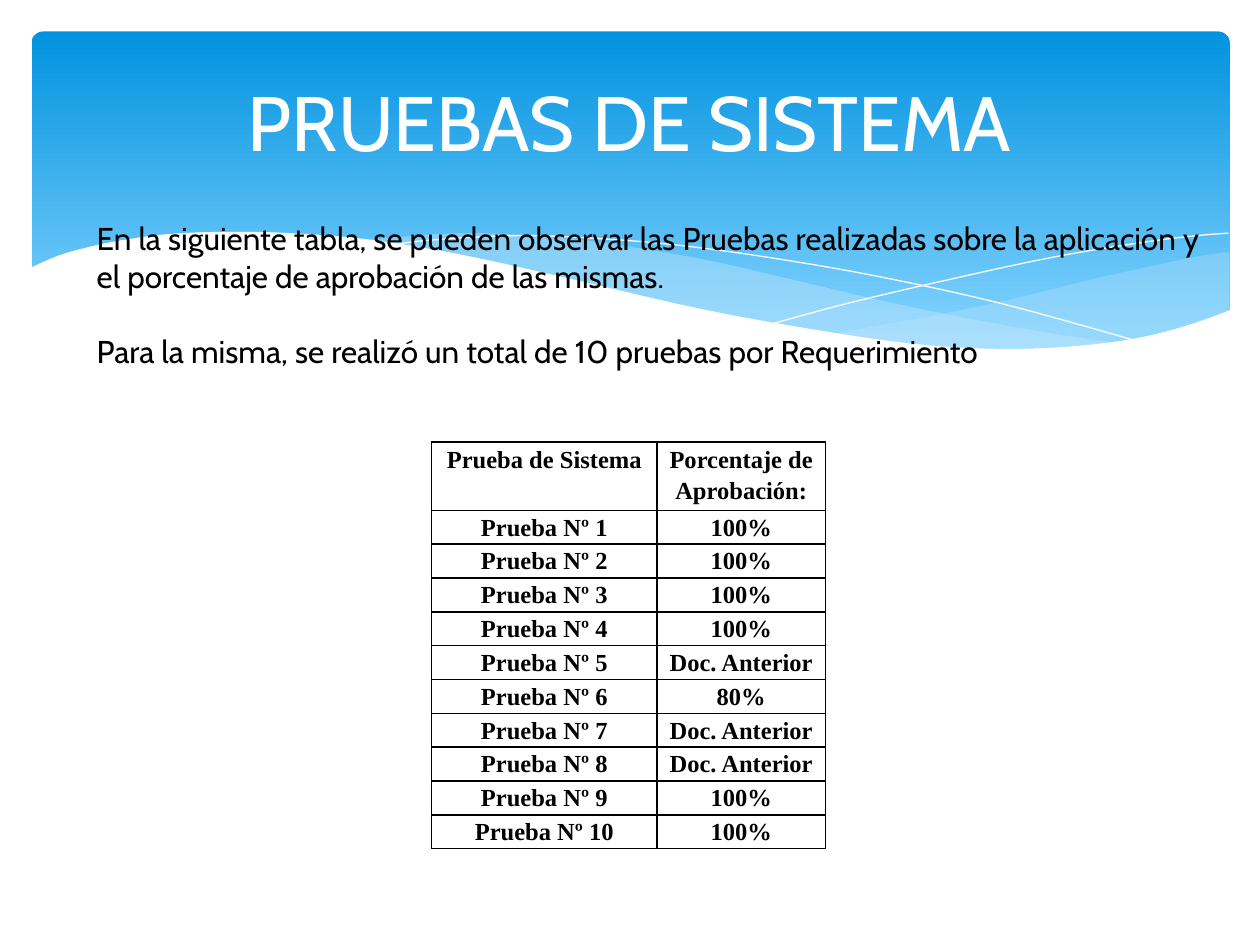
from dataclasses import dataclass
from typing import Optional

import pptx
import pptx.dml.color
import pptx.enum.shapes
import pptx.enum.text
import pptx.oxml
import pptx.oxml.ns
import pptx.util
from lxml import etree

Pt = pptx.util.Pt
qn = pptx.oxml.ns.qn
ALIGN = pptx.enum.text.PP_ALIGN
ANCHOR = pptx.enum.text.MSO_ANCHOR
Point = tuple[float, float]


@dataclass(frozen=True)
class Theme:
    sky_dark: str = "0293E0"
    sky_light: str = "83D3FE"
    mist: str = "C6E7FC"
    white: str = "FFFFFF"
    black: str = "000000"
    font: str = "Cabin"
    table_font: str = "Times New Roman"
    title_size: float = 44
    body_size: float = 18
    table_size: float = 14


@dataclass(frozen=True)
class Wave:
    """Edges run through key points; each edge is smoothed on its own."""
    edges: list[list[Point]]
    fill: Optional[str] = None
    alpha: int = 100
    line: Optional[str] = None


@dataclass(frozen=True)
class TextBox:
    left: float
    top: float
    width: float
    height: float
    paragraphs: list[str]
    size: float
    color: str
    align: ALIGN
    anchor: ANCHOR
    top_inset: float = 3.6
    gap: float = 0
    grows: bool = False


THEME = Theme()
WAVES = [
    Wave([[(702.5, 144), (682.5, 146.9), (652.3, 153.3), (619.9, 160.6), (579.6, 170.6),
           (542.2, 178.6), (508.3, 184.9), (475.9, 190.8)],
          [(475.9, 190.8), (507.6, 195.1), (536.4, 198), (570.2, 199.5), (601.2, 199.4),
           (627.8, 197.3), (651.6, 193.7), (673.2, 188.6), (693.4, 181.4), (702.5, 177.8)]],
         fill=THEME.mist, alpha=29),
    Wave([[(643, 196.6), (602.6, 190.8), (558, 182.9), (508.3, 172.8), (452.9, 159.8),
           (409.7, 149.8), (370.1, 142.6), (334.8, 137.5), (302.4, 134.6), (273.6, 133.2),
           (247.7, 133.9), (225.4, 135.7), (205.9, 137.5)],
          [(205.9, 137.5), (246.2, 143.3), (290.9, 151.9), (323.3, 159.8), (381.6, 172.8),
           (432.7, 183.6), (478.8, 191.5), (521.3, 197.3), (556.6, 199.4), (589, 200.2),
           (617, 199.4), (643, 196.6)]],
         fill=THEME.mist, alpha=40),
    Wave([[(222.5, 140.4), (236.2, 138.2), (261.4, 136.1), (299.5, 134.6), (337.7, 136.1),
           (383.8, 139.7), (437.8, 146.9), (500.4, 157.7), (572.4, 173.5), (653, 195.8)]],
         line=THEME.white),
    Wave([[(441.4, 185), (483.8, 173.5), (538.6, 160.6), (602, 146.9), (655.2, 138.2),
           (684.7, 134.6), (702, 133.2)]],
         line=THEME.white),
    Wave([[(703.4, 177.1), (676.8, 186.5), (647.3, 193.7), (612, 198), (571, 199.4),
           (522.7, 196.6), (466.6, 188.6), (399.6, 176.4), (321.8, 158.4), (262.8, 145.4),
           (210.2, 136.8), (165.6, 133.2), (127.4, 132.5), (95, 133.9), (68.4, 137.5),
           (48.2, 141.8), (33.1, 146.2), (16.6, 153.4)],
          [(16.6, 236.9), (703.4, 236.9)]],
         fill=THEME.white),
]
RESULTS = ["100%"] * 4 + ["Doc. Anterior", "80%", "Doc. Anterior", "Doc. Anterior", "100%", "100%"]


def rgb(color: str) -> pptx.dml.color.RGBColor:
    return pptx.dml.color.RGBColor.from_string(color)


def smooth(keys: list[Point], steps: int = 5) -> list[Point]:
    """Sample a Catmull-Rom curve through the key points."""
    if len(keys) < 3:
        return keys
    ext = [keys[0], *keys, keys[-1]]
    curve = [keys[0]]
    for a, b, c, d in zip(ext, ext[1:], ext[2:], ext[3:]):
        for t in (i / steps for i in range(1, steps + 1)):
            curve.append(tuple(
                0.5 * (2 * q + (u - p) * t + (2 * p - 5 * q + 4 * u - v) * t ** 2
                       + (3 * q - p - 3 * u + v) * t ** 3)
                for p, q, u, v in zip(a, b, c, d)))
    return curve


def add_sky(s) -> None:
    sp = s.shapes.add_shape(pptx.enum.shapes.MSO_SHAPE.ROUNDED_RECTANGLE,
                            Pt(18), Pt(18), Pt(684.7), Pt(194.4))
    sp.adjustments[0] = 0.034
    sp.shadow.inherit = False
    sp.line.fill.background()
    sp.fill.gradient()
    sp.fill.gradient_angle = 270
    stops = [(0, THEME.sky_dark), (0.9, THEME.sky_light)]
    for stop, (position, color) in zip(sp.fill.gradient_stops, stops):
        stop.position = position
        stop.color.rgb = rgb(color)


def add_wave(s, wave: Wave) -> None:
    start, *rest = [(Pt(x), Pt(y)) for edge in wave.edges for x, y in smooth(edge)]
    builder = s.shapes.build_freeform(*start)
    builder.add_line_segments(rest, close=wave.fill is not None)
    sp = builder.convert_to_shape()
    sp.shadow.inherit = False
    if wave.fill:
        sp.fill.solid()
        sp.fill.fore_color.rgb = rgb(wave.fill)
        if wave.alpha < 100:
            color = sp._element.spPr.find(".//" + qn("a:srgbClr"))
            etree.SubElement(color, qn("a:alpha"), val=str(wave.alpha * 1000))
    else:
        sp.fill.background()
    if wave.line:
        sp.line.color.rgb = rgb(wave.line)
        sp.line.width = Pt(0)
    else:
        sp.line.fill.background()


def add_run(p, text: str, font: str, size: float, color: str, bold: bool = False) -> None:
    r = p.add_run()
    r.text = text
    r.font.name, r.font.size, r.font.bold = font, Pt(size), bold
    r.font.color.rgb = rgb(color)


def add_text(s, box: TextBox) -> None:
    sp = s.shapes.add_textbox(Pt(box.left), Pt(box.top), Pt(box.width), Pt(box.height))
    tf = sp.text_frame
    tf.word_wrap = True
    tf.vertical_anchor = box.anchor
    tf.margin_top = Pt(box.top_inset)
    if box.grows:
        tf.auto_size = pptx.enum.text.MSO_AUTO_SIZE.SHAPE_TO_FIT_TEXT
    for i, text in enumerate(box.paragraphs):
        p = tf.add_paragraph() if i else tf.paragraphs[0]
        p.alignment = box.align
        p.space_before = Pt(box.gap if i else 0)
        add_run(p, text, THEME.font, box.size, box.color)


def add_borders(cell) -> None:
    tc_pr = cell._tc.get_or_add_tcPr()
    for i, side in enumerate(("lnL", "lnR", "lnT", "lnB")):
        line = etree.Element(qn("a:" + side), w=str(Pt(1)))
        fill = etree.SubElement(line, qn("a:solidFill"))
        etree.SubElement(fill, qn("a:srgbClr"), val=THEME.black)
        tc_pr.insert(i, line)


def add_results(s) -> None:
    rows = [("Prueba de Sistema", "Porcentaje de Aprobación:")]
    rows += [(f"Prueba Nº {n}", result) for n, result in enumerate(RESULTS, 1)]
    widths, header_height, row_height = (128.8, 96.2), 38.9, 19.3
    table = s.shapes.add_table(len(rows), len(widths), Pt(246.7), Pt(252.7), Pt(sum(widths)),
                               Pt(header_height + row_height * len(RESULTS))).table
    table.first_row = table.horz_banding = False
    for column, width in zip(table.columns, widths):
        column.width = Pt(width)
    for i, texts in enumerate(rows):
        table.rows[i].height = Pt(row_height if i else header_height)
        for cell, text in zip(table.rows[i].cells, texts):
            cell.fill.background()
            cell.margin_left = cell.margin_right = Pt(5)
            cell.margin_top = cell.margin_bottom = 0
            p = cell.text_frame.paragraphs[0]
            p.alignment, p.line_spacing = ALIGN.CENTER, 1.15
            add_run(p, text, THEME.table_font, THEME.table_size, THEME.black, bold=True)
            add_borders(cell)


def main() -> None:
    prs = pptx.Presentation()
    prs.slide_width, prs.slide_height = Pt(720), Pt(540)
    s = prs.slides.add_slide(prs.slide_layouts[6])
    add_sky(s)
    for wave in WAVES:
        add_wave(s, wave)
    add_text(s, TextBox(36, 26.6, 648, 85, ["PRUEBAS DE SISTEMA"], THEME.title_size,
                        THEME.white, ALIGN.CENTER, ANCHOR.MIDDLE))
    add_text(s, TextBox(48.2, 100.1, 646.6, 116.6, [
        "En la siguiente tabla, se pueden observar las Pruebas realizadas sobre la aplicación y "
        "el porcentaje de aprobación de las mismas.",
        "Para la misma, se realizó un total de 10 pruebas por Requerimiento",
    ], THEME.body_size, THEME.black, ALIGN.LEFT, ANCHOR.TOP, top_inset=25, gap=21.5, grows=True))
    add_results(s)
    prs.save("out.pptx")


if __name__ == "__main__":
    main()
